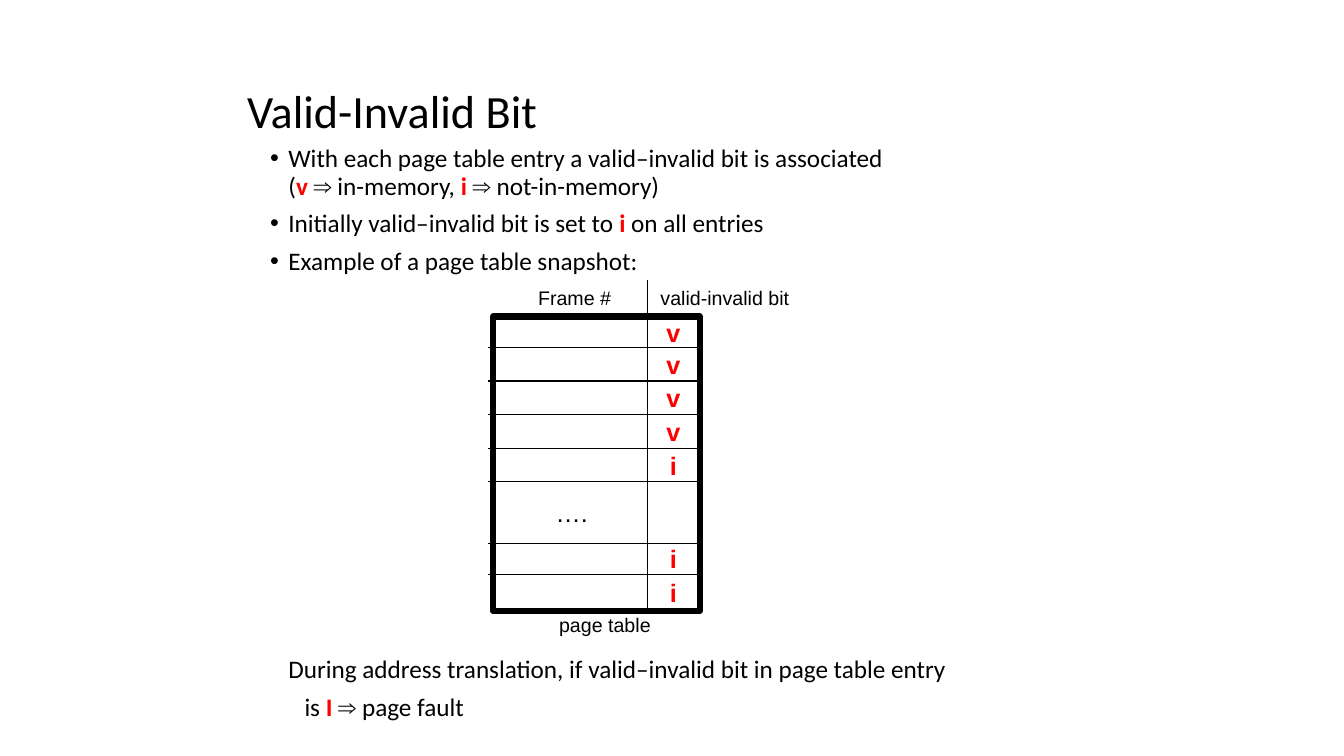
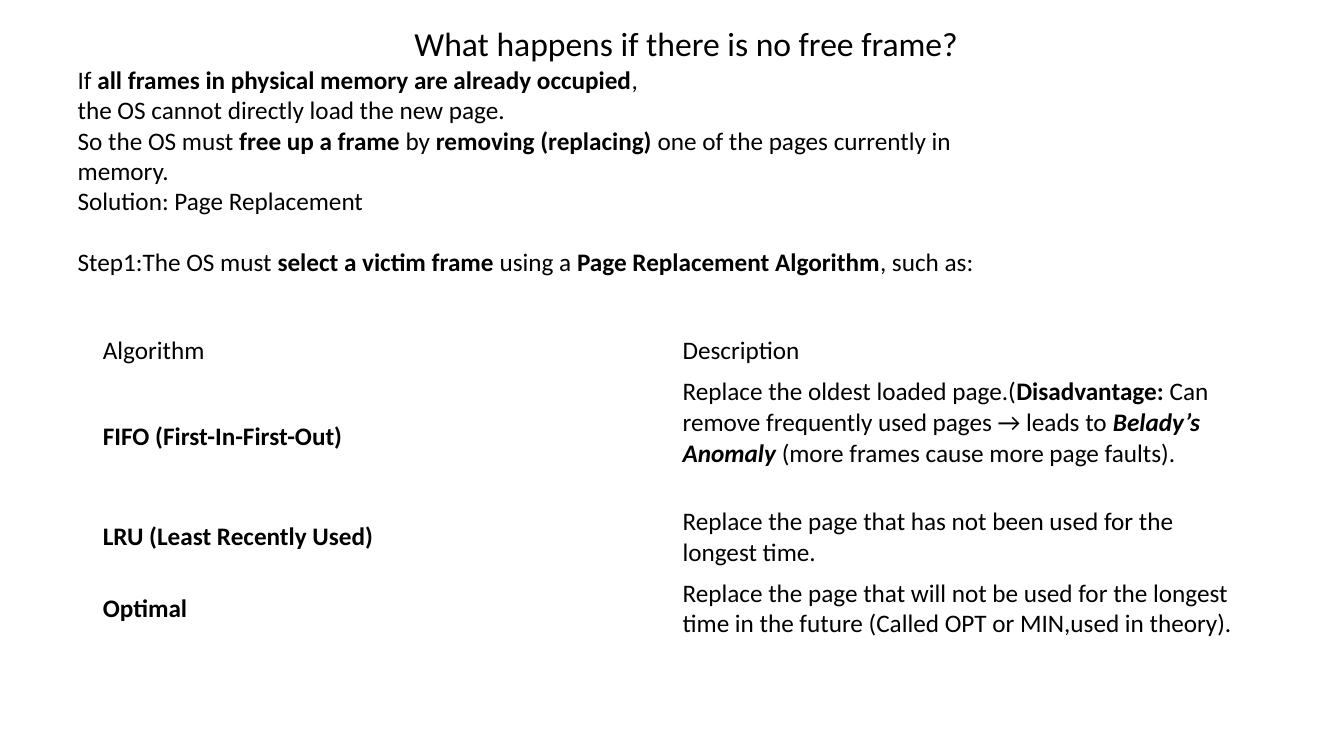
from lxml import etree
from pptx import Presentation
from pptx.dml.color import RGBColor
from pptx.enum.shapes import MSO_CONNECTOR, MSO_SHAPE
from pptx.enum.text import MSO_ANCHOR, MSO_AUTO_SIZE, PP_ALIGN
from pptx.oxml.ns import qn
from pptx.util import Inches, Pt

TOP, MIDDLE = MSO_ANCHOR.TOP, MSO_ANCHOR.MIDDLE
LEFT, CENTER = PP_ALIGN.LEFT, PP_ALIGN.CENTER
NO_AUTOFIT = MSO_AUTO_SIZE.NONE
STRAIGHT, RECTANGLE = MSO_CONNECTOR.STRAIGHT, MSO_SHAPE.RECTANGLE

BLACK = RGBColor(0, 0, 0)
WHITE = RGBColor(255, 255, 255)
RED = RGBColor(255, 0, 0)
TEXT_FONT, LABEL_FONT = "Calibri", "Arial"
TEXT_SIZE = 18

# Run styles
BOLD = {"bold": True}
BOLD_ITALIC = {"bold": True, "italic": True}
RED_BOLD = {"bold": True, "color": RED}
SYMBOL = {"name": LABEL_FONT}
IMPLIES = ("⇒", SYMBOL)

# A paragraph is a list of runs: plain text, or (text, style)
BIT_BULLETS = [
    ["With each page table entry a valid–invalid bit is associated\n(",
     ("v ", RED_BOLD), IMPLIES, " in-memory, ",
     ("i ", RED_BOLD), IMPLIES, " not-in-memory)"],
    ["Initially valid–invalid bit is set to", (" i ", RED_BOLD), "on all entries"],
    ["Example of a page table snapshot:"],
]
# (runs, left indent, space before); the first clears the page table
BIT_CONCLUSION = [
    (["During address translation, if valid–invalid bit in page table entry"], 0.18, 272),
    (["is", (" I ", RED_BOLD), IMPLIES, " page fault"], 0.34, 7.5),
]

ROW_EDGES = [3.14, 3.45, 3.78, 4.11, 4.45, 4.78, 5.39, 5.7, 6.06]
ROW_BITS = ["v", "v", "v", "v", "i", None, "i", "i"]
TABLE_LEFT, TABLE_WIDTH = 4.89, 2.05
BIT_COLUMN_LEFT, BIT_CENTER, FRAME_CENTER = 6.42, 6.68, 5.67
HEADING_TOP, HEADING_CENTER = 2.78, 2.95
CAPTIONS = [
    ("Frame #", 5.7, HEADING_CENTER),
    ("valid-invalid bit", 7.19, HEADING_CENTER),
    ("page table", 6, 6.2),
]

# (runs, space before)
NO_FRAME_TEXT = [
    (["If ", ("all frames in physical memory are already occupied", BOLD),
      ",\nthe OS cannot directly load the new page."], 0),
    (["So the OS must ", ("free up a frame", BOLD), " by ",
      ("removing (replacing)", BOLD), " one of the pages currently in memory."], 0),
    (["Solution: Page Replacement"], 0),
    (["Step1:The OS must ", ("select a victim frame", BOLD), " using a ",
      ("Page Replacement Algorithm", BOLD), ", such as:"], 22),
]
# (row height, algorithm runs, description runs)
ALGORITHMS = [
    (0.4, ["Algorithm"], ["Description"]),
    (1.29, [("FIFO (First-In-First-Out)", BOLD)],
     ["Replace the oldest loaded page.(", ("Disadvantage:", BOLD),
      " Can remove frequently used pages → leads to ",
      ("Belady’s Anomaly ", BOLD_ITALIC), "(more frames cause more page faults)."]),
    (0.71, [("LRU (Least Recently Used)", BOLD)],
     ["Replace the page that has not been used for the longest time."]),
    (0.7, [("Optimal", BOLD)],
     ["Replace the page that will not be used for the longest time in the future "
      "(Called OPT or MIN,used in theory)."]),
]


def style_font(font, name=None, size=None, bold=None, italic=None, color=None):
    """Set only the given properties."""
    if name:
        font.name = name
    if size:
        font.size = Pt(size)
    if bold is not None:
        font.bold = bold
    if italic:
        font.italic = True
    if color is not None:
        font.color.rgb = color


def write(paragraph, runs, name=TEXT_FONT, size=TEXT_SIZE, color=BLACK, bold=False,
          align=LEFT, line_spacing=1.0, before=0):
    paragraph.alignment = align
    paragraph.line_spacing = line_spacing
    paragraph.space_before = Pt(before)
    style_font(paragraph.font, name, size, bold, color=color)
    for item in runs:
        text, style = (item, {}) if isinstance(item, str) else item
        for index, line in enumerate(text.split("\n")):
            if index:
                paragraph.add_line_break()
            run = paragraph.add_run()
            run.text = line
            style_font(run.font, **style)


def indent(paragraph, left, hanging=0):
    """Set the left indent; only a hanging paragraph keeps its bullet."""
    properties = paragraph._p.get_or_add_pPr()
    properties.set("marL", str(Inches(left)))
    properties.set("indent", str(-Inches(hanging)))
    if not hanging:
        etree.SubElement(properties, qn("a:buNone"))


def place(shape, left, top, width, height, anchor=TOP):
    shape.left, shape.top = Inches(left), Inches(top)
    shape.width, shape.height = Inches(width), Inches(height)
    frame = shape.text_frame
    frame.word_wrap = True
    frame.auto_size = NO_AUTOFIT
    frame.vertical_anchor = anchor
    return frame


def add_slide(prs, title, title_box, title_size, title_anchor, body_box):
    """Return the new slide and its body text frame."""
    slide = prs.slides.add_slide(prs.slide_layouts[1])
    heading = place(slide.shapes.title, *title_box, title_anchor)
    write(heading.paragraphs[0], [title], size=title_size, line_spacing=0.9)
    return slide, place(slide.placeholders[1], *body_box)


def next_paragraph(frame):
    first = frame.paragraphs[0]
    return frame.add_paragraph() if first.runs else first


def add_label(slide, text, center_x, center_y, **style):
    width, height = 1.7, 0.4
    box = slide.shapes.add_textbox(0, 0, 0, 0)
    frame = place(box, center_x - width / 2, center_y - height / 2, width, height, MIDDLE)
    write(frame.paragraphs[0], [text], name=LABEL_FONT, align=CENTER, **style)


def add_rule(slide, x1, y1, x2, y2):
    rule = slide.shapes.add_connector(
        STRAIGHT, Inches(x1), Inches(y1), Inches(x2), Inches(y2))
    rule.line.color.rgb = BLACK
    rule.line.width = Pt(0.75)
    etree.SubElement(rule._element.spPr, qn("a:effectLst"))


def draw_page_table(slide):
    top, bottom = ROW_EDGES[0], ROW_EDGES[-1]
    outline = slide.shapes.add_shape(
        RECTANGLE, Inches(TABLE_LEFT), Inches(top), Inches(TABLE_WIDTH), Inches(bottom - top))
    outline.shadow.inherit = False
    outline.fill.solid()
    outline.fill.fore_color.rgb = WHITE
    outline.line.color.rgb = BLACK
    outline.line.width = Pt(4.5)

    for edge in ROW_EDGES[1:-1]:
        add_rule(slide, TABLE_LEFT - 0.05, edge, TABLE_LEFT + TABLE_WIDTH - 0.02, edge)
    add_rule(slide, BIT_COLUMN_LEFT, HEADING_TOP, BIT_COLUMN_LEFT, bottom - 0.03)

    for bit, upper, lower in zip(ROW_BITS, ROW_EDGES, ROW_EDGES[1:]):
        middle = (upper + lower) / 2
        if bit:
            add_label(slide, bit, BIT_CENTER, middle, color=RED, bold=True)
        else:
            add_label(slide, "….", FRAME_CENTER, middle)
    for caption, x, y in CAPTIONS:
        add_label(slide, caption, x, y, size=14)


def build_valid_bit_slide(prs):
    slide, body = add_slide(prs, "Valid-Invalid Bit", (2.35, 0.4, 8.62, 1.45), 33, MIDDLE,
                            (2.58, 1.4, 7.92, 6.25))
    for index, runs in enumerate(BIT_BULLETS):
        paragraph = next_paragraph(body)
        indent(paragraph, 0.18, hanging=0.18)
        write(paragraph, runs, line_spacing=0.9, before=7.5 if index else 0)
    for runs, left, before in BIT_CONCLUSION:
        paragraph = next_paragraph(body)
        indent(paragraph, left)
        write(paragraph, runs, line_spacing=0.9, before=before)
    draw_page_table(slide)


def build_no_frame_slide(prs):
    slide, body = add_slide(prs, "What happens if there is no free frame?",
                            (4.01, 0.22, 5.99, 0.46), 24, TOP, (0.67, 0.59, 9.33, 2.5))
    for runs, before in NO_FRAME_TEXT:
        paragraph = next_paragraph(body)
        indent(paragraph, 0)
        write(paragraph, runs, before=before)

    height = sum(row[0] for row in ALGORITHMS)
    table = slide.shapes.add_table(
        len(ALGORITHMS), 2, Inches(0.92), Inches(3.28), Inches(11.5), Inches(height)).table
    table.first_row = table.horz_banding = False
    for row, (row_height, *contents) in zip(table.rows, ALGORITHMS):
        row.height = Inches(row_height)
        for cell, runs, anchor in zip(row.cells, contents, (MIDDLE, TOP)):
            cell.fill.background()
            cell.vertical_anchor = anchor
            write(cell.text_frame.paragraphs[0], runs)


def main():
    prs = Presentation()
    prs.slide_width, prs.slide_height = Inches(13.33), Inches(7.5)
    build_valid_bit_slide(prs)
    build_no_frame_slide(prs)
    prs.save("out.pptx")


if __name__ == "__main__":
    main()
